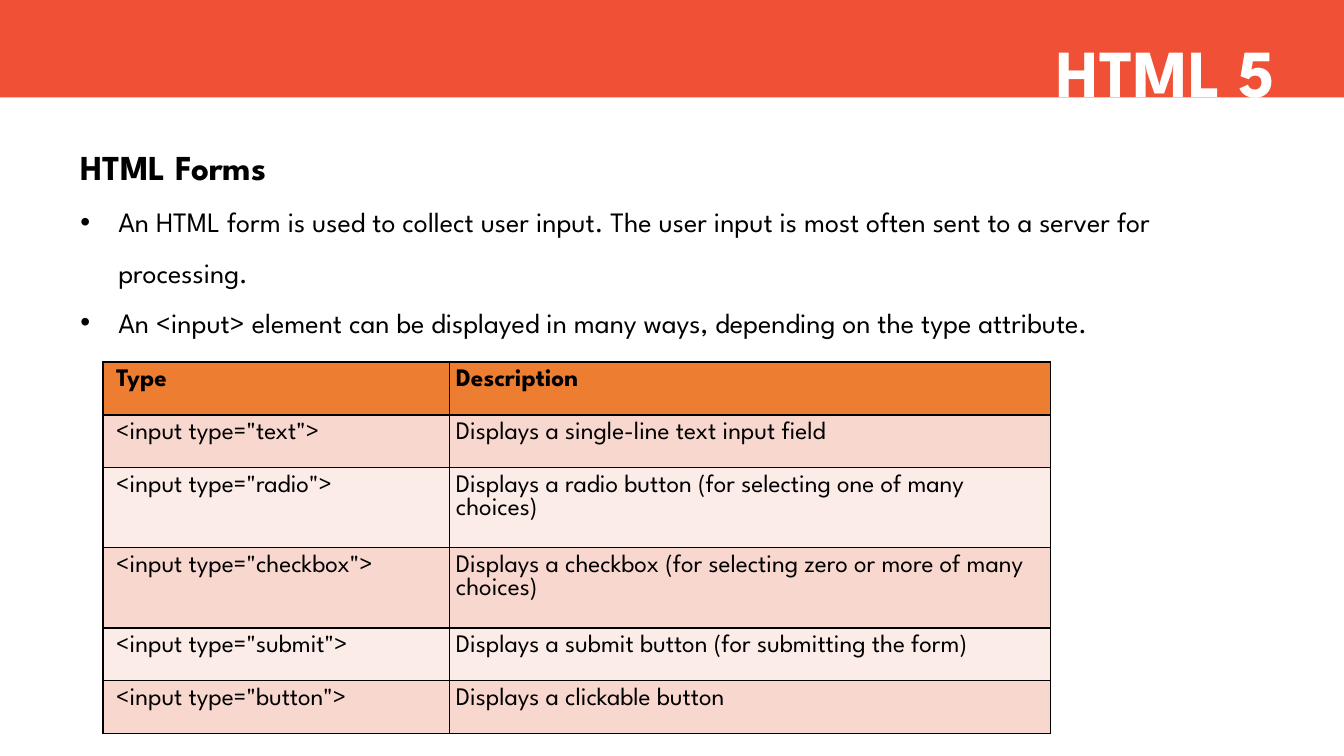
import pptx
import pptx.util
import pptx.dml.color
import pptx.enum.shapes
import pptx.enum.text
import pptx.oxml.ns
from lxml import etree

Pt = pptx.util.Pt
FONT = "League Spartan"
COLOURS = {
    "banner": "F05136", "title": "FFFFFF", "text": "000000", "border": "000000",
    "header": "ED7D31", "odd": "F8D7CE", "even": "FCECE8",
}
TITLE = "HTML 5"
HEADING = "HTML Forms"
BULLETS = [
    "An HTML form is used to collect user input. The user input is most often sent to a server for processing.",
    "An <input> element can be displayed in many ways, depending on the type attribute.",
]
INPUT_TYPES = [
    ("Type", "Description"),
    ('<input type="text">', "Displays a single-line text input field"),
    ('<input type="radio">', "Displays a radio button (for selecting one of many choices)"),
    ('<input type="checkbox">', "Displays a checkbox (for selecting zero or more of many choices)"),
    ('<input type="submit">', "Displays a submit button (for submitting the form)"),
    ('<input type="button">', "Displays a clickable button"),
]
SLIDE_SIZE = (960, 540)
BANNER_BOX = (0, 0, 960, 69.6)
TITLE_BOX = (306, 18, 612, 65.4)
BODY_BOX = (50.4, 85.7, 859, 210)
TABLE_ORIGIN = (73.6, 258.6)
COLUMN_WIDTHS = (247.4, 429.3)
ROW_HEIGHTS = (37.8, 37.8, 57.2, 57.2, 37.8, 37.8)
CELL_MARGINS = ((9.4, 4.7), (4.7, 4.7))
BULLET_INDENT = 27
BORDER_WIDTH = 1


def points(values):
    return [Pt(value) for value in values]


def rgb(name):
    return pptx.dml.color.RGBColor.from_string(COLOURS[name])


def set_all(target, values):
    for name, value in values.items():
        setattr(target, name, value)


def write(paragraph, text, size, bold=False, colour="text"):
    run = paragraph.add_run()
    run.text = text
    set_all(run.font, {"name": FONT, "size": Pt(size), "bold": bold})
    run.font.color.rgb = rgb(colour)


def add_text_frame(slide, box):
    frame = slide.shapes.add_textbox(*points(box)).text_frame
    set_all(frame, {"word_wrap": True, "auto_size": pptx.enum.text.MSO_AUTO_SIZE.SHAPE_TO_FIT_TEXT})
    return frame


def add_child(parent, tag, **attributes):
    return etree.SubElement(parent, pptx.oxml.ns.qn(tag), attributes)


def add_bullet(paragraph):
    properties = paragraph._p.get_or_add_pPr()
    indent = Pt(BULLET_INDENT)
    properties.set("marL", str(indent))
    properties.set("indent", str(-indent))
    add_child(properties, "a:buFont", typeface="Arial")
    add_child(properties, "a:buChar", char="•")


def add_body(slide):
    frame = add_text_frame(slide, BODY_BOX)
    heading = frame.paragraphs[0]
    heading.line_spacing = 1.5
    write(heading, HEADING, 25, bold=True)
    for text in BULLETS:
        paragraph = frame.add_paragraph()
        paragraph.line_spacing = 1.5
        add_bullet(paragraph)
        write(paragraph, text, 20)


def add_banner(slide):
    banner = slide.shapes.add_shape(pptx.enum.shapes.MSO_SHAPE.RECTANGLE, *points(BANNER_BOX))
    banner.shadow.inherit = False
    banner.fill.solid()
    banner.fill.fore_color.rgb = rgb("banner")
    banner.line.fill.background()


def add_title(slide):
    paragraph = add_text_frame(slide, TITLE_BOX).paragraphs[0]
    paragraph.alignment = pptx.enum.text.PP_ALIGN.RIGHT
    write(paragraph, TITLE, 48, bold=True, colour="title")


def add_borders(cell):
    properties = cell._tc.get_or_add_tcPr()
    for position, side in enumerate(("a:lnL", "a:lnR", "a:lnT", "a:lnB")):
        line = etree.Element(pptx.oxml.ns.qn(side), w=str(Pt(BORDER_WIDTH)))
        add_child(add_child(line, "a:solidFill"), "a:srgbClr", val=COLOURS["border"])
        properties.insert(position, line)


def format_cell(cell, text, row, margins):
    left, right = margins
    set_all(cell, {
        "margin_left": Pt(left), "margin_right": Pt(right),
        "margin_top": Pt(4.7), "margin_bottom": Pt(4.7),
        "vertical_anchor": pptx.enum.text.MSO_ANCHOR.TOP,
    })
    cell.fill.solid()
    cell.fill.fore_color.rgb = rgb("header" if row == 0 else "odd" if row % 2 else "even")
    write(cell.text_frame.paragraphs[0], text, 18, bold=row == 0)
    add_borders(cell)


def add_input_table(slide):
    size = (sum(COLUMN_WIDTHS), sum(ROW_HEIGHTS))
    table = slide.shapes.add_table(
        len(INPUT_TYPES), len(COLUMN_WIDTHS), *points(TABLE_ORIGIN + size)
    ).table
    set_all(table, {"first_row": False, "horz_banding": False})
    for column, width in zip(table.columns, COLUMN_WIDTHS):
        column.width = Pt(width)
    for row, height in zip(table.rows, ROW_HEIGHTS):
        row.height = Pt(height)
    for row, texts in enumerate(INPUT_TYPES):
        for column, text in enumerate(texts):
            format_cell(table.cell(row, column), text, row, CELL_MARGINS[column])


def main():
    presentation = pptx.Presentation()
    presentation.slide_width, presentation.slide_height = points(SLIDE_SIZE)
    slide = presentation.slides.add_slide(presentation.slide_layouts[6])
    add_body(slide)
    add_banner(slide)
    add_title(slide)
    add_input_table(slide)
    presentation.save("out.pptx")


if __name__ == "__main__":
    main()
